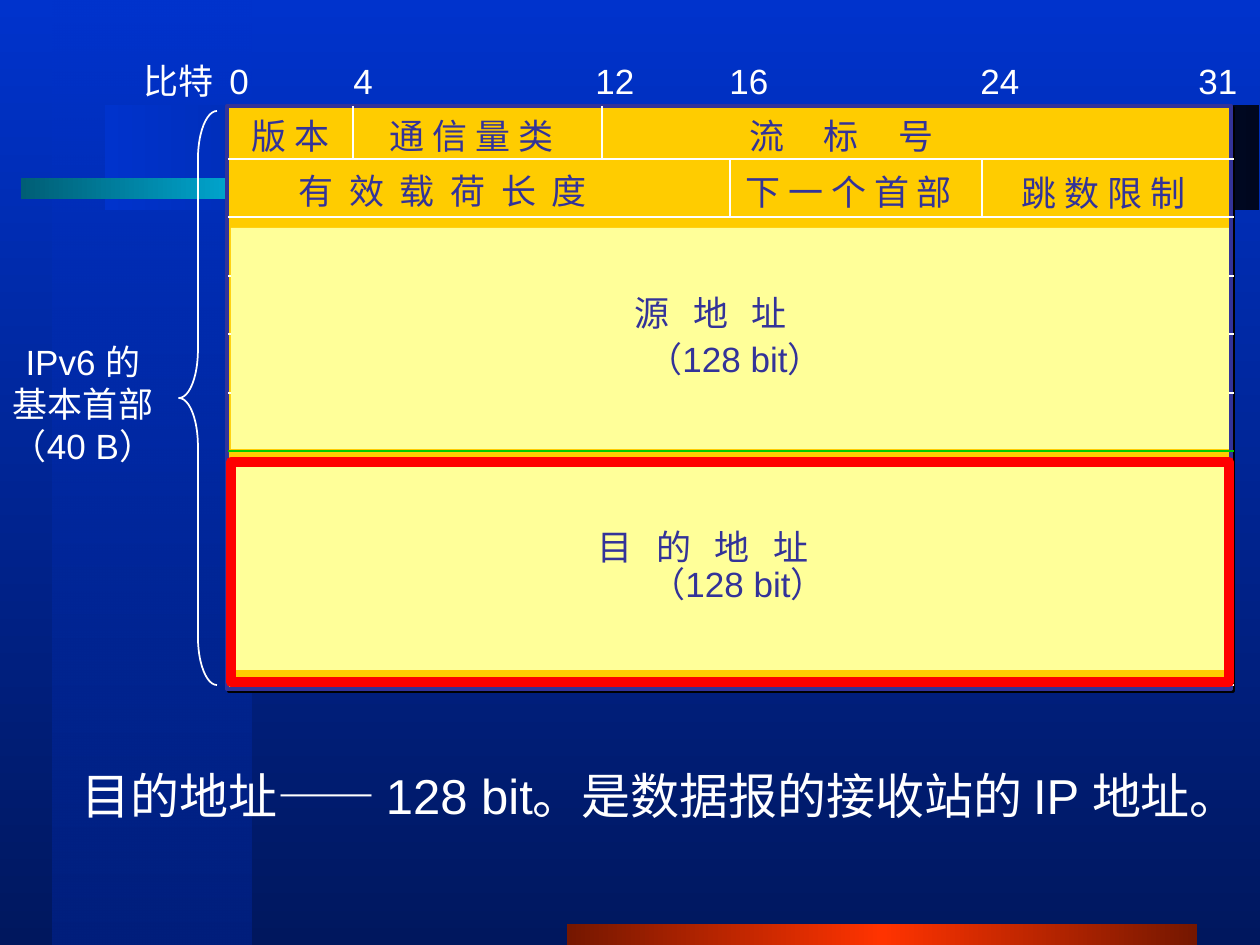
from dataclasses import dataclass

from lxml import etree
from pptx import Presentation
from pptx import util as u
from pptx.dml.color import RGBColor
from pptx.enum import shapes, text
from pptx.oxml.ns import qn

PX = 914400 / 126


@dataclass(frozen=True)
class Theme:
    font: str = "Arial"
    label_size: int = 20
    body_size: int = 28
    white: str = "FFFFFF"
    ink: str = "333399"
    header: str = "FFCC00"
    address: str = "FFFF99"
    boundary: str = "00CC00"
    highlight: str = "FF0000"
    shadow: str = "000000"
    background: tuple = ((0, "0033CC"), (100, "00175E"))
    column: tuple = ((0, "0033CC", 50), (100, "001F7D"))
    red_bar: tuple = ((0, "751700"), (50, "FF3300"), (100, "751700"))
    dark_bar: tuple = ((0, "00071F"), (100, "0033CC"))
    cyan_bar: tuple = ((0, "005E75"), (50, "00CCFF"), (100, "005E75"))


def emu(*pixels):
    return [u.Emu(round(value * PX)) for value in pixels]


def add_xml(parent, tag, **attributes):
    values = {name: str(value) for name, value in attributes.items()}
    return etree.SubElement(parent, qn(tag), values)


def apply_gradient(fill, stops, angle):
    """Replace a fill by stops of (percent, colour[, opacity percent])."""
    fill.gradient()
    fill.gradient_angle = (360 - angle) % 360
    stop_list = fill._xPr.find(qn("a:gradFill")).find(qn("a:gsLst"))
    for stop in list(stop_list):
        stop_list.remove(stop)
    for percent, color, *opacity in stops:
        stop = add_xml(stop_list, "a:gs", pos=percent * 1000)
        color_element = add_xml(stop, "a:srgbClr", val=color)
        if opacity:
            add_xml(color_element, "a:alpha", val=opacity[0] * 1000)


class SlideBuilder:
    def __init__(self, slide, theme):
        self.slide = slide
        self.theme = theme

    def background(self, stops, angle):
        apply_gradient(self.slide.background.fill, stops, angle)

    def shape(self, box, fill=None, line=None, width=1, kind=shapes.MSO_SHAPE.RECTANGLE):
        shape = self.slide.shapes.add_shape(kind, *emu(*box))
        shape.shadow.inherit = False
        if fill:
            shape.fill.solid()
            shape.fill.fore_color.rgb = RGBColor.from_string(fill)
        else:
            shape.fill.background()
        if line:
            shape.line.color.rgb = RGBColor.from_string(line)
            shape.line.width = u.Pt(width)
        else:
            shape.line.fill.background()
        return shape

    def gradient_bar(self, box, stops, angle):
        apply_gradient(self.shape(box).fill, stops, angle)

    def drop_shadow(self, shape):
        effects = shape._element.spPr.find(qn("a:effectLst"))
        shadow = add_xml(effects, "a:outerShdw", dist=u.Pt(1.4), dir=45 * 60000,
                         algn="ctr", rotWithShape=0)
        add_xml(shadow, "a:srgbClr", val=self.theme.shadow)

    def line(self, start, end, color):
        line = self.slide.shapes.add_connector(
            shapes.MSO_CONNECTOR.STRAIGHT, *emu(*start, *end))
        line.line.color.rgb = RGBColor.from_string(color)
        line.line.width = u.Pt(1)
        add_xml(line._element.spPr, "a:effectLst")

    def text(self, box, content, color, size=None, wrap=False, align=None,
             tracking=0, line_spacing=None):
        """Add text; tracking is the extra space after each character, in points."""
        frame = self.slide.shapes.add_textbox(*emu(*box)).text_frame
        frame.word_wrap = wrap
        frame.auto_size = text.MSO_AUTO_SIZE.SHAPE_TO_FIT_TEXT
        frame.text = content
        for paragraph in frame.paragraphs:
            paragraph.alignment = align
            paragraph.line_spacing = line_spacing
            paragraph.font.name = self.theme.font
            paragraph.font.size = u.Pt(size or self.theme.label_size)
            paragraph.font.color.rgb = RGBColor.from_string(color)
            if tracking:
                for run in paragraph.runs:
                    run._r.get_or_add_rPr().set("spc", str(round(tracking * 100)))


def draw_backdrop(builder, theme):
    builder.background(theme.background, 90)
    builder.gradient_bar((53, 0, 199, 945), theme.column, 90)
    builder.gradient_bar((567, 924, 630, 21), theme.red_bar, 180)
    builder.gradient_bar((105, 105, 1154, 105), theme.dark_bar, 180)
    builder.gradient_bar((21, 178, 651, 21), theme.cyan_bar, 180)


def draw_header(builder, theme):
    left, right, top = 228, 1234, 106
    rows = [round(159 + 58.4 * index) for index in range(10)]
    source_end = 5

    builder.drop_shadow(builder.shape((227, top, 1004, 583), theme.header, theme.ink, 2.25))
    for index, y in enumerate(rows):
        color = theme.boundary if index == source_end else theme.white
        builder.line((left, y), (right, y), color)
    for x, y_start, y_end in ((353, top, rows[0]), (602, top, rows[0]),
                              (730, rows[0], rows[1]), (982, rows[0], rows[1])):
        builder.line((x, y_start), (x, y_end), theme.white)
    for y, height in ((460, 210), (228, 221)):
        builder.shape((231, y, 998, height), theme.address)

    labels = [("比特", 131, 96), ("0", 217, 44), ("4", 341, 44), ("12", 583, 64),
              ("16", 717, 64), ("24", 968, 64), ("31", 1186, 64)]
    for label, x, width in labels:
        builder.text((x, 53, width, 54), label, theme.white)

    fields = [("版 本", 239, 108, 112, 0),
              ("通 信 量 类", 377, 108, 218, 0),
              ("流 标 号", 737, 108, 306, 9),
              ("有 效 载 荷 长 度", 286, 163, 411, 2.25),
              ("下 一 个 首 部", 733, 164, 271, 0),
              ("跳 数 限 制", 1009, 165, 218, 0),
              ("源 地 址", 622, 285, 236, 4.5),
              ("（128 bit）", 635, 331, 217, 0),
              ("目 的 地 址", 585, 519, 323, 4.5),
              ("（128 bit）", 638, 556, 217, 0)]
    for name, x, y, width, tracking in fields:
        builder.text((x, y, width, 54), name, theme.ink, tracking=tracking)

    brace = builder.shape((179, 111, 38, 574), line=theme.white,
                          kind=shapes.MSO_SHAPE.LEFT_BRACE)
    brace.adjustments[0] = 1.27
    builder.text((-9, 334, 184, 139), "IPv6 的\n基本首部\n（40 B）", theme.white,
                 align=text.PP_ALIGN.CENTER)
    builder.shape((231, 462, 998, 220), line=theme.highlight, width=6)


def main():
    theme = Theme()
    presentation = Presentation()
    presentation.slide_width, presentation.slide_height = emu(1260, 945)
    blank_layout = presentation.slide_layouts[6]
    builder = SlideBuilder(presentation.slides.add_slide(blank_layout), theme)
    draw_backdrop(builder, theme)
    draw_header(builder, theme)
    builder.text((69, 756, 1191, 136), "目的地址—— 128 bit。是数据报的接收站的 IP 地址。",
                 theme.white, theme.body_size, wrap=True, line_spacing=1.05)
    presentation.save("out.pptx")


if __name__ == "__main__":
    main()
